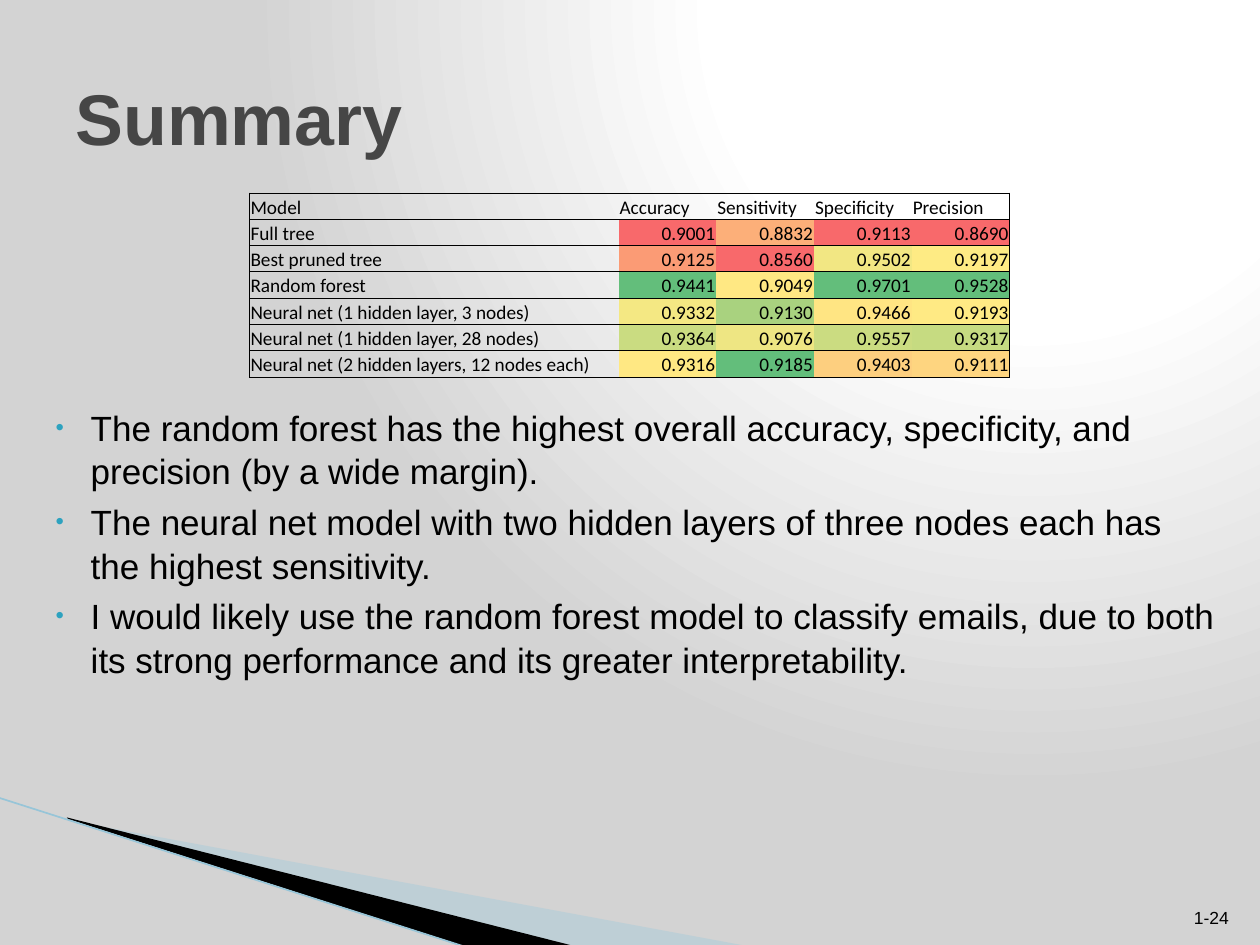
import typing

import lxml.etree
import pptx
import pptx.dml.color
import pptx.enum.shapes
import pptx.enum.text
import pptx.oxml
import pptx.oxml.ns
import pptx.slide
import pptx.table
import pptx.text.text
import pptx.util

Cm = pptx.util.Cm
Pt = pptx.util.Pt
qn = pptx.oxml.ns.qn
Align = pptx.enum.text.PP_ALIGN
Anchor = pptx.enum.text.MSO_ANCHOR

HUES = {
    "ink": "000000", "title": "464646", "bullet": "2DA2BF",
    "wedge": "A0CBDC", "line": "97C5D8", "white": "FFFFFF", "gray": "D3D3D3",
    "low": "F8696B", "mid": "FFEB84", "high": "63BE7B",
}
SPACE = 'xmlns:a="http://schemas.openxmlformats.org/drawingml/2006/main"'


class Box(typing.NamedTuple):
    left: float
    top: float
    width: float
    height: float

    def spans(self) -> list[int]:
        return [Cm(side) for side in self]


class Wedge(typing.NamedTuple):
    points: list[tuple[int, int]]
    hue: str
    alpha: int


class Model(typing.NamedTuple):
    name: str
    scores: tuple[float, ...]


WEDGES = [
    Wedge([(140, 1654), (1511, 1908), (1158, 1908), (140, 1651)], "wedge", 40),
    Wedge([(135, 1648), (1161, 1908), (945, 1910), (137, 1651)], "ink", 100),
]
HEADS = ["Model", "Accuracy", "Sensitivity", "Specificity", "Precision"]
MODELS = [
    Model("Full tree", (0.9001, 0.8832, 0.9113, 0.8690)),
    Model("Best pruned tree", (0.9125, 0.8560, 0.9502, 0.9197)),
    Model("Random forest", (0.9441, 0.9049, 0.9701, 0.9528)),
    Model("Neural net (1 hidden layer, 3 nodes)", (0.9332, 0.9130, 0.9466, 0.9193)),
    Model("Neural net (1 hidden layer, 28 nodes)", (0.9364, 0.9076, 0.9557, 0.9317)),
    Model("Neural net (2 hidden layers, 12 nodes each)", (0.9316, 0.9185, 0.9403, 0.9111)),
]
POINTS = [
    "The random forest has the highest overall accuracy, specificity, and precision (by a wide margin).",
    "The neural net model with two hidden layers of three nodes each has the highest sensitivity.",
    "I would likely use the random forest model to classify emails, due to both its strong performance and its greater interpretability.",
]


def tint(name: str) -> pptx.dml.color.RGBColor:
    return pptx.dml.color.RGBColor.from_string(HUES[name])


def style(para: typing.Any, size: float, hue: str = "ink", face: str = "Arial") -> None:
    para.font.size = Pt(size)
    para.font.name = face
    para.font.color.rgb = tint(hue)


def blend(start: str, end: str, share: float) -> pptx.dml.color.RGBColor:
    pairs = zip(tint(start), tint(end))
    return pptx.dml.color.RGBColor(*(round(a + (b - a) * share) for a, b in pairs))


def grade(score: float, column: typing.Sequence[float]) -> pptx.dml.color.RGBColor:
    ranks = sorted(column)
    half = len(ranks) // 2
    mid = (ranks[half - 1] + ranks[half]) / 2
    if score < mid:
        return blend("low", "mid", (score - ranks[0]) / (mid - ranks[0]))
    return blend("mid", "high", (score - mid) / (ranks[-1] - mid))


def add_ground(slide: pptx.slide.Slide) -> None:
    stops = "".join(
        f'<a:gs pos="{place}000"><a:srgbClr val="{HUES[hue]}"/></a:gs>'
        for place, hue in ((0, "white"), (40, "white"), (100, "gray"))
    )
    slide.background.fill.gradient()
    old = slide.element.find(f".//{qn('p:bgPr')}/{qn('a:gradFill')}")
    new = pptx.oxml.parse_xml(
        f'<a:gradFill {SPACE} rotWithShape="1"><a:gsLst>{stops}</a:gsLst>'
        '<a:path path="circle"><a:fillToRect l="65000" t="0" r="0" b="98000"/>'
        '</a:path></a:gradFill>'
    )
    old.getparent().replace(old, new)


def add_wedge(slide: pptx.slide.Slide, wedge: Wedge) -> None:
    pen = slide.shapes.build_freeform(*wedge.points[0], scale=Cm(1) / 100)
    pen.add_line_segments(wedge.points[1:])
    shape = pen.convert_to_shape()
    shape.shadow.inherit = False
    shape.line.fill.background()
    shape.fill.solid()
    shape.fill.fore_color.rgb = tint(wedge.hue)
    if wedge.alpha < 100:
        color = shape.element.spPr.find(f"{qn('a:solidFill')}/{qn('a:srgbClr')}")
        lxml.etree.SubElement(color, qn("a:alpha"), val=f"{wedge.alpha}000")


def add_edge(slide: pptx.slide.Slide) -> None:
    ends = [Cm(part) for part in (-0.03, 16.08, 9.42, 19.1)]
    edge = slide.shapes.add_connector(pptx.enum.shapes.MSO_CONNECTOR.STRAIGHT, *ends)
    edge.line.color.rgb = tint("line")
    edge.line.width = Pt(0.95)
    lxml.etree.SubElement(edge.element.spPr, qn("a:effectLst"))


def add_text(slide: pptx.slide.Slide, box: Box) -> pptx.text.text.TextFrame:
    frame = slide.shapes.add_textbox(*box.spans()).text_frame
    frame.word_wrap = True
    return frame


def add_points(slide: pptx.slide.Slide) -> None:
    frame = add_text(slide, Box(0.56, 8.03, 24.31, 7.49))
    frame.text = "\n".join(POINTS)
    for para in frame.paragraphs:
        style(para, 20)
        para.space_before = Pt(4)
        para.line_spacing = 1.04
        props = para._p.get_or_add_pPr()
        props.set("marL", str(Cm(1.02)))
        props.set("indent", str(Cm(-0.71)))
        color = lxml.etree.SubElement(props, qn("a:buClr"))
        lxml.etree.SubElement(color, qn("a:srgbClr"), val=HUES["bullet"])
        lxml.etree.SubElement(props, qn("a:buSzPct"), val="68000")
        lxml.etree.SubElement(props, qn("a:buFont"), typeface="Arial")
        lxml.etree.SubElement(props, qn("a:buChar"), char="•")
        rest = props.find(qn("a:defRPr"))
        if rest is not None:
            props.append(rest)


def add_rules(cell: pptx.table._Cell, sides: str) -> None:
    props = cell._tc.get_or_add_tcPr()
    for spot, side in enumerate("LRTB"):
        drawn = side in sides
        fill = (f'<a:solidFill><a:srgbClr val="{HUES["ink"]}"/></a:solidFill>'
                if drawn else "<a:noFill/>")
        width = Pt(0.5) if drawn else 0
        rule = f'<a:ln{side} {SPACE} w="{width}">{fill}</a:ln{side}>'
        props.insert(spot, pptx.oxml.parse_xml(rule))


def add_scores(slide: pptx.slide.Slide) -> None:
    count = len(MODELS) + 1
    box = Box(5.03, 3.89, 15.32, 0.53 * count)
    table = slide.shapes.add_table(count, len(HEADS), *box.spans()).table
    table.first_row = table.horz_banding = False
    for spot, column in enumerate(table.columns):
        column.width = Cm(1.97 if spot else 7.44)
    for row in table.rows:
        row.height = Cm(0.53)
    columns = list(zip(*(model.scores for model in MODELS)))
    lines = [HEADS] + [[model.name, *model.scores] for model in MODELS]
    for down, line in enumerate(lines):
        for across, item in enumerate(line):
            cell = table.cell(down, across)
            score = isinstance(item, float)
            cell.text = f"{item:.4f}" if score else item
            cell.vertical_anchor = Anchor.BOTTOM
            cell.margin_left = cell.margin_right = cell.margin_top = Cm(0.02)
            cell.margin_bottom = 0
            para = cell.text_frame.paragraphs[0]
            style(para, 11, face="Calibri")
            if score:
                para.alignment = Align.RIGHT
                cell.fill.solid()
                cell.fill.fore_color.rgb = grade(item, columns[across - 1])
            else:
                cell.fill.background()
            ends = {0: "L", len(HEADS) - 1: "R"}
            add_rules(cell, "TB" + ends.get(across, ""))


def add_title(slide: pptx.slide.Slide) -> None:
    title = slide.shapes.title
    title.left, title.top, title.width, title.height = Box(1.27, 0.76, 22.86, 3.18).spans()
    frame = title.text_frame
    frame.text = "Summary"
    frame.auto_size = pptx.enum.text.MSO_AUTO_SIZE.NONE
    frame.vertical_anchor = Anchor.MIDDLE
    para = frame.paragraphs[0]
    para.alignment = Align.LEFT
    style(para, 41, "title")
    para.font.bold = True


def add_number(slide: pptx.slide.Slide) -> None:
    frame = add_text(slide, Box(23.06, 17.81, 1.96, 1.02))
    frame.text = "1-24"
    frame.vertical_anchor = Anchor.BOTTOM
    frame.paragraphs[0].alignment = Align.RIGHT
    style(frame.paragraphs[0], 10)


def main() -> None:
    deck = pptx.Presentation()
    deck.slide_width, deck.slide_height = Cm(25.4), Cm(19.05)
    slide = deck.slides.add_slide(deck.slide_layouts[5])
    add_ground(slide)
    for wedge in WEDGES:
        add_wedge(slide, wedge)
    add_edge(slide)
    add_points(slide)
    add_title(slide)
    add_number(slide)
    add_scores(slide)
    deck.save("out.pptx")


if __name__ == "__main__":
    main()
